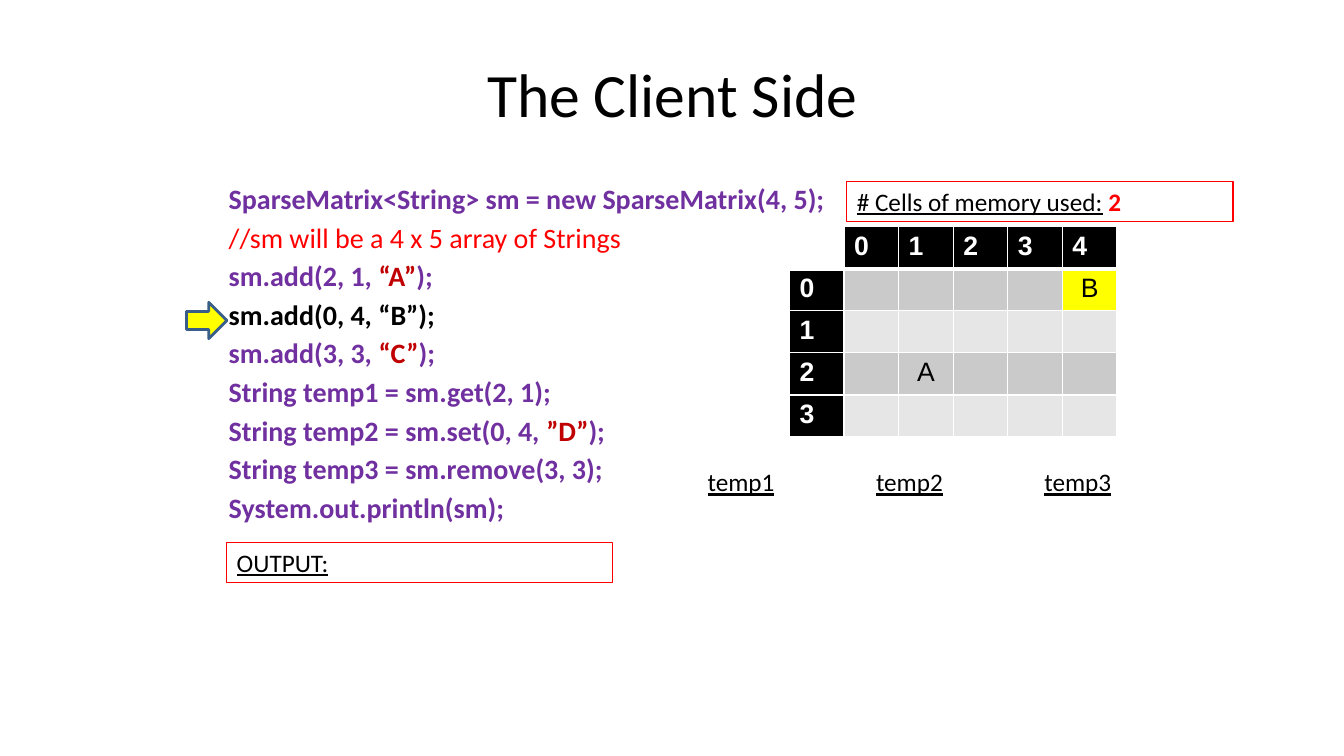
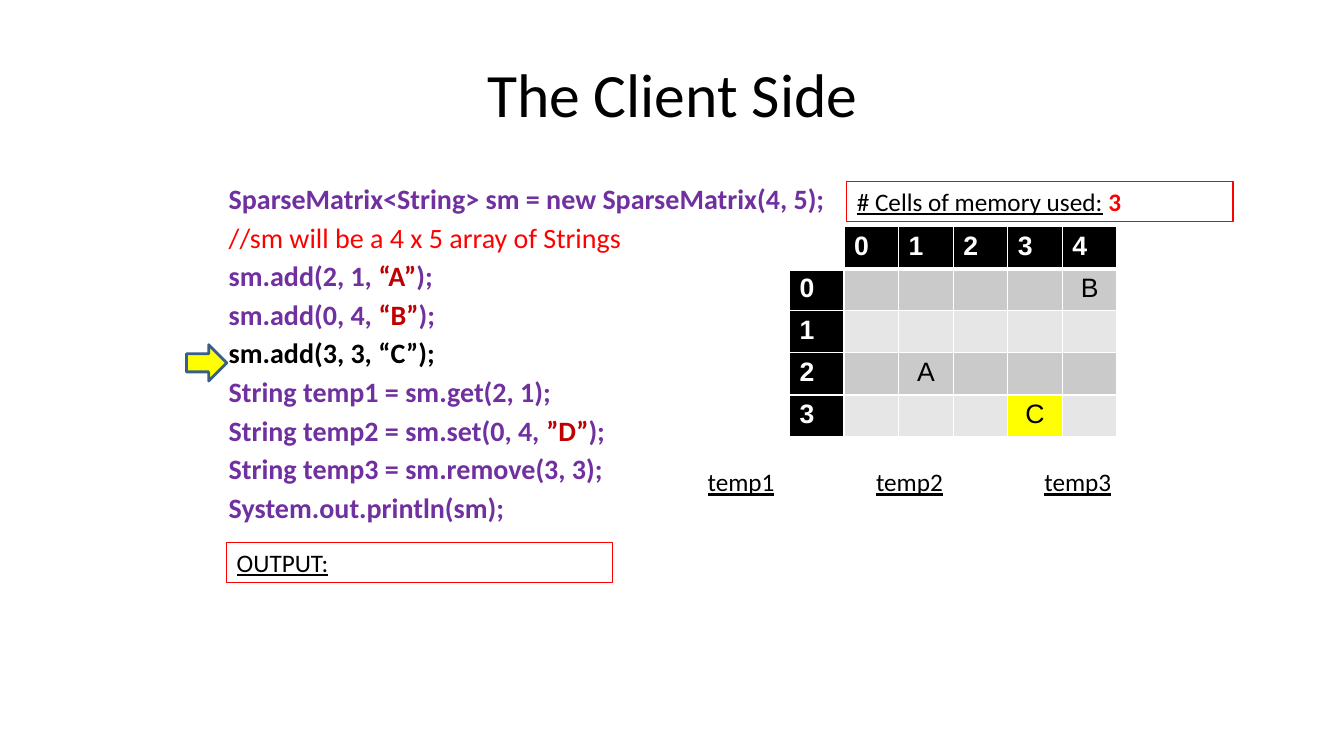
from pptx import Presentation, util as u
from pptx.dml.color import RGBColor
from pptx.enum import shapes, text
from pptx.oxml import parse_xml
from pptx.oxml.ns import nsdecls

BLACK = RGBColor(0, 0, 0)
WHITE = RGBColor(255, 255, 255)
RED = RGBColor(255, 0, 0)
DARK_RED = RGBColor(0xC0, 0, 0)
PURPLE = RGBColor(0x70, 0x30, 0xA0)
YELLOW = RGBColor(255, 255, 0)
ARROW_EDGE = RGBColor(0x39, 0x5E, 0x89)
BANDS = [RGBColor(0xCA, 0xCA, 0xCA), RGBColor(0xE6, 0xE6, 0xE6)]

TITLE = "The Client Side"
# Each line is (before, string literal, after)
CODE = [
    ("SparseMatrix<String> sm = new SparseMatrix(4, 5);",),
    ("//sm will be a 4 x 5 array of Strings",),
    ("sm.add(2, 1, ", "“A”", ");"),
    ("sm.add(0, 4, ", "“B”", ");"),
    ("sm.add(3, 3, ", "“C”", ");"),
    ("String temp1 = sm.get(2, 1);",),
    ("String temp2 = sm.set(0, 4, ", "”D”", ");"),
    ("String temp3 = sm.remove(3, 3);",),
    ("System.out.println(sm);",),
]
VARIABLES = ["temp1", "temp2", "temp3"]
STEPS = [
    {"line": 3, "cells": {(2, 1): "A", (0, 4): "B"}, "new": (0, 4)},
    {"line": 4, "cells": {(2, 1): "A", (0, 4): "B", (3, 3): "C"}, "new": (3, 3)},
]
ROWS, COLS = 4, 5
TABLE_BOX = (7.83, 2.25, 3.25, 2.08)
ARROW_TOP, ARROW_STEP = 3, 0.42  # top beside code line 3, and per line
TAB_GAP = 1.67


def inches(*values):
    return [u.Inches(v) for v in values]


def add_run(p, words, size=18, color=BLACK, name="Calibri", **fmt):
    r = p.add_run()
    r.text = words
    r.font.color.rgb = color
    for key, value in {"size": u.Pt(size), "name": name, **fmt}.items():
        setattr(r.font, key, value)


def add_text(s, box, anchor=text.MSO_ANCHOR.TOP):
    tf = s.shapes.add_textbox(*inches(*box)).text_frame
    tf.word_wrap = True
    tf.vertical_anchor = anchor
    return tf


def add_shape(s, kind, box, line, width, fill=None):
    sp = s.shapes.add_shape(kind, *inches(*box))
    sp.shadow.inherit = False
    if fill is None:
        sp.fill.background()
    else:
        sp.fill.solid()
        sp.fill.fore_color.rgb = fill
    sp.line.color.rgb = line
    sp.line.width = u.Pt(width)
    return sp


def add_label_box(s, left, top, label):
    sp = add_shape(s, shapes.MSO_SHAPE.RECTANGLE, (left, top, 3.83, 0.4), RED, 0.75)
    tf = sp.text_frame
    tf.word_wrap = True
    tf.vertical_anchor = text.MSO_ANCHOR.TOP
    p = tf.paragraphs[0]
    p.alignment = text.PP_ALIGN.LEFT
    add_run(p, label, underline=True)
    return p


def add_code(s, current):
    tf = add_text(s, (2.17, 1.75, 9, 4.95))
    for i, parts in enumerate(CODE):
        p = tf.paragraphs[0] if i == 0 else tf.add_paragraph()
        if i:
            p.space_before = u.Pt(3.6)
        comment = parts[0].startswith("//")
        if i == current:
            parts, colors = ("".join(parts),), [BLACK]
        else:
            colors = [RED if comment else PURPLE, DARK_RED, PURPLE]
        for part, color in zip(parts, colors):
            add_run(p, part, 20, color, bold=not comment)


def set_borders(cell, row):
    widths = {"L": 1, "R": 1, "T": 3 if row == 1 else 1, "B": 3 if row == 0 else 1}
    for side, width in widths.items():
        cell._tc.get_or_add_tcPr().append(parse_xml(
            f'<a:ln{side} {nsdecls("a")} w="{u.Pt(width)}"><a:solidFill>'
            f'<a:srgbClr val="{WHITE}"/></a:solidFill></a:ln{side}>'))


def add_matrix(s, cells, new):
    table = s.shapes.add_table(ROWS + 1, COLS + 1, *inches(*TABLE_BOX)).table
    for row in range(ROWS + 1):
        for col in range(COLS + 1):
            cell, at = table.cell(row, col), (row - 1, col - 1)
            heading = row == 0 or col == 0
            if heading:
                words = str(row + col - 1) if row + col else ""
                fill = BLACK if words else WHITE
            else:
                words = cells.get(at, "")
                fill = YELLOW if at == new else BANDS[at[0] % 2]
            set_borders(cell, row)
            cell.fill.solid()
            cell.fill.fore_color.rgb = fill
            if words:
                p = cell.text_frame.paragraphs[0]
                p.alignment = text.PP_ALIGN.LEFT if heading else text.PP_ALIGN.CENTER
                add_run(p, words, 19, WHITE if heading else BLACK, "Arial", bold=heading)


def add_variables(s):
    p = add_text(s, (6.92, 4.58, 4.25, 0.4)).paragraphs[0]
    stops = "".join(f'<a:tab pos="{u.Inches(TAB_GAP * i)}" algn="l"/>'
                    for i in range(1, len(VARIABLES)))
    p._p.get_or_add_pPr().append(
        parse_xml(f'<a:tabLst {nsdecls("a")}>{stops}</a:tabLst>'))
    for i, name in enumerate(VARIABLES):
        if i:
            add_run(p, "\t", underline=False)
        add_run(p, name, underline=True)


def add_step(prs, step):
    s = prs.slides.add_slide(prs.slide_layouts[6])
    p = add_text(s, (2.17, 0.3, 9, 1.25), text.MSO_ANCHOR.MIDDLE).paragraphs[0]
    p.alignment = text.PP_ALIGN.CENTER
    add_run(p, TITLE, 44)
    add_code(s, step["line"])
    add_matrix(s, step["cells"], step["new"])
    add_variables(s)
    add_label_box(s, 2.25, 5.38, "OUTPUT:")
    top = ARROW_TOP + ARROW_STEP * (step["line"] - 3)
    add_shape(s, shapes.MSO_SHAPE.RIGHT_ARROW, (1.85, top, 0.4, 0.36),
              ARROW_EDGE, 2, YELLOW)
    p = add_label_box(s, 8.4, 1.8, "# Cells of memory used:")
    add_run(p, " ")
    add_run(p, str(len(step["cells"])), color=RED, bold=True)


def main():
    prs = Presentation()
    prs.slide_width, prs.slide_height = inches(13.33, 7.5)
    for step in STEPS:
        add_step(prs, step)
    prs.save("out.pptx")


if __name__ == "__main__":
    main()
